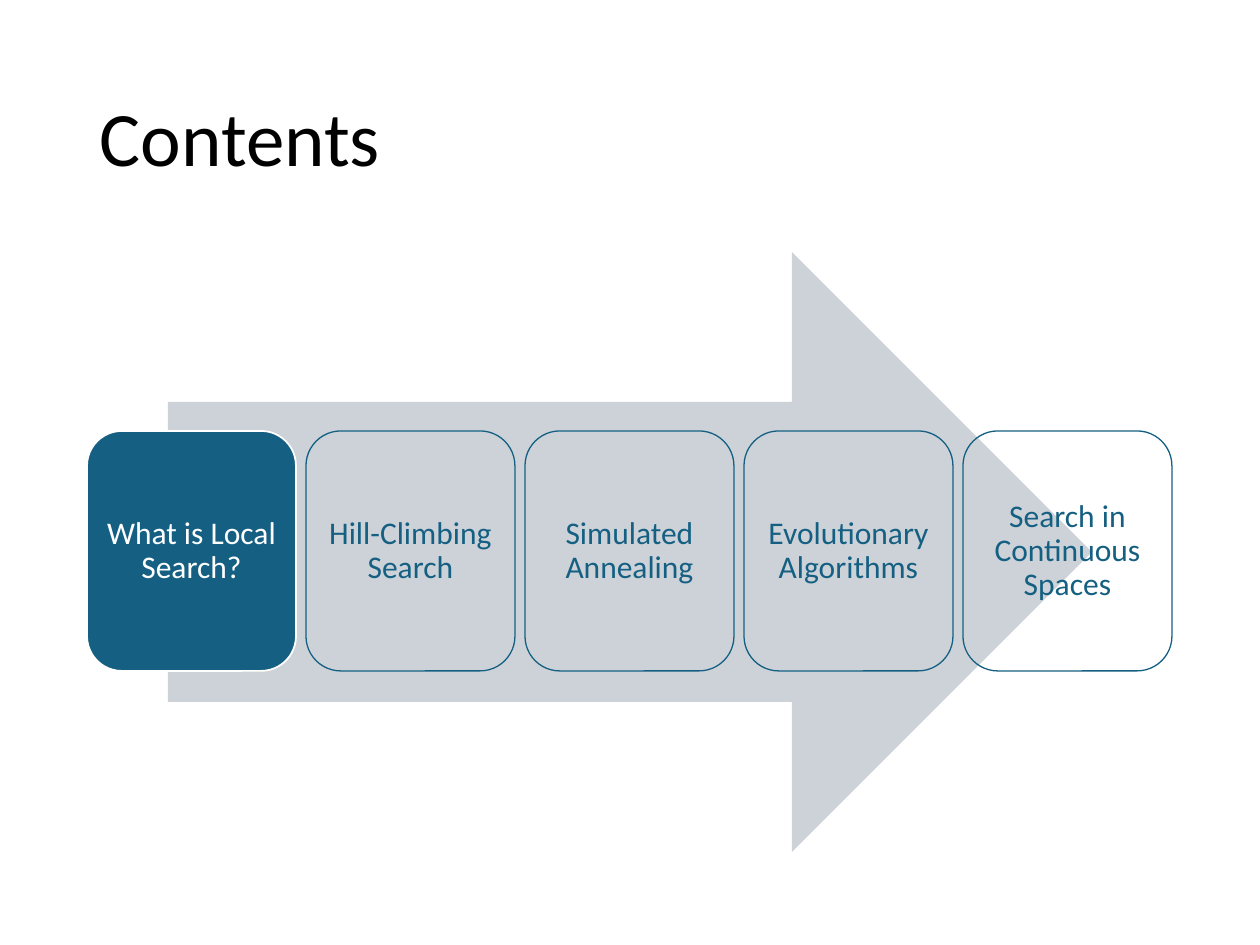
from pptx import Presentation
from pptx.dml.color import RGBColor
from pptx.enum.shapes import MSO_SHAPE
from pptx.enum.text import MSO_ANCHOR, PP_ALIGN
from pptx.util import Emu, Pt

PX = 914400 // 126
FONT = "Calibri"
BLACK, WHITE, BLUE, GREY = "000000", "FFFFFF", "156082", "CCD2D8"
ARROW, ROUNDED = MSO_SHAPE.RIGHT_ARROW, MSO_SHAPE.ROUNDED_RECTANGLE
MIDDLE = MSO_ANCHOR.MIDDLE
LEFT, CENTER = PP_ALIGN.LEFT, PP_ALIGN.CENTER

TOPICS = [
    "What is Local Search?",
    "Hill-Climbing Search",
    "Simulated Annealing",
    "Evolutionary Algorithms",
    "Search in Continuous Spaces",
]
CURRENT = 0


def px(n):
    return Emu(n * PX)


def rgb(color):
    return RGBColor.from_string(color)


class Deck:
    """Holds the style and the current slide."""

    def __init__(self):
        self.prs = Presentation()
        self.prs.slide_width, self.prs.slide_height = px(1260), px(945)
        self.s = self.prs.slides.add_slide(self.prs.slide_layouts[5])

    def add_text(self, sp, text, size, color, align):
        tf = sp.text_frame
        tf.word_wrap = True
        tf.vertical_anchor = MIDDLE
        p = tf.paragraphs[0]
        p.alignment = align
        p.line_spacing = 0.9
        r = p.add_run()
        r.text = text
        r.font.name = FONT
        r.font.size = Pt(size)
        r.font.color.rgb = rgb(color)

    def title(self, text, x, y, w, h):
        sp = self.s.shapes.title
        sp.left, sp.top, sp.width, sp.height = map(px, (x, y, w, h))
        self.add_text(sp, text, 44, BLACK, LEFT)

    def shape(self, kind, x, y, w, h, fill=None, line=None, weight=0.75):
        sp = self.s.shapes.add_shape(kind, *map(px, (x, y, w, h)))
        sp.shadow.inherit = False
        if fill:
            sp.fill.solid()
            sp.fill.fore_color.rgb = rgb(fill)
        else:
            sp.fill.background()
        if line:
            sp.line.color.rgb = rgb(line)
            sp.line.width = Pt(weight)
        else:
            sp.line.fill.background()
        return sp

    def step(self, text, x, y, w, h, current):
        if current:
            sp = self.shape(ROUNDED, x, y, w, h, BLUE, WHITE, 1)
        else:
            sp = self.shape(ROUNDED, x, y, w, h, line=BLUE)
        tf = sp.text_frame
        tf.margin_left = tf.margin_right = tf.margin_top = tf.margin_bottom = px(9)
        self.add_text(sp, text, 18, WHITE if current else BLUE, CENTER)


def main():
    deck = Deck()
    deck.title("Contents", 87, 50, 1086, 183)
    deck.shape(ARROW, 168, 252, 924, 600, GREY)
    width, gap = 209, 10
    for i, topic in enumerate(TOPICS):
        deck.step(topic, 87 + i * (width + gap), 431, width, 240, i == CURRENT)
    deck.prs.save("out.pptx")


if __name__ == "__main__":
    main()
